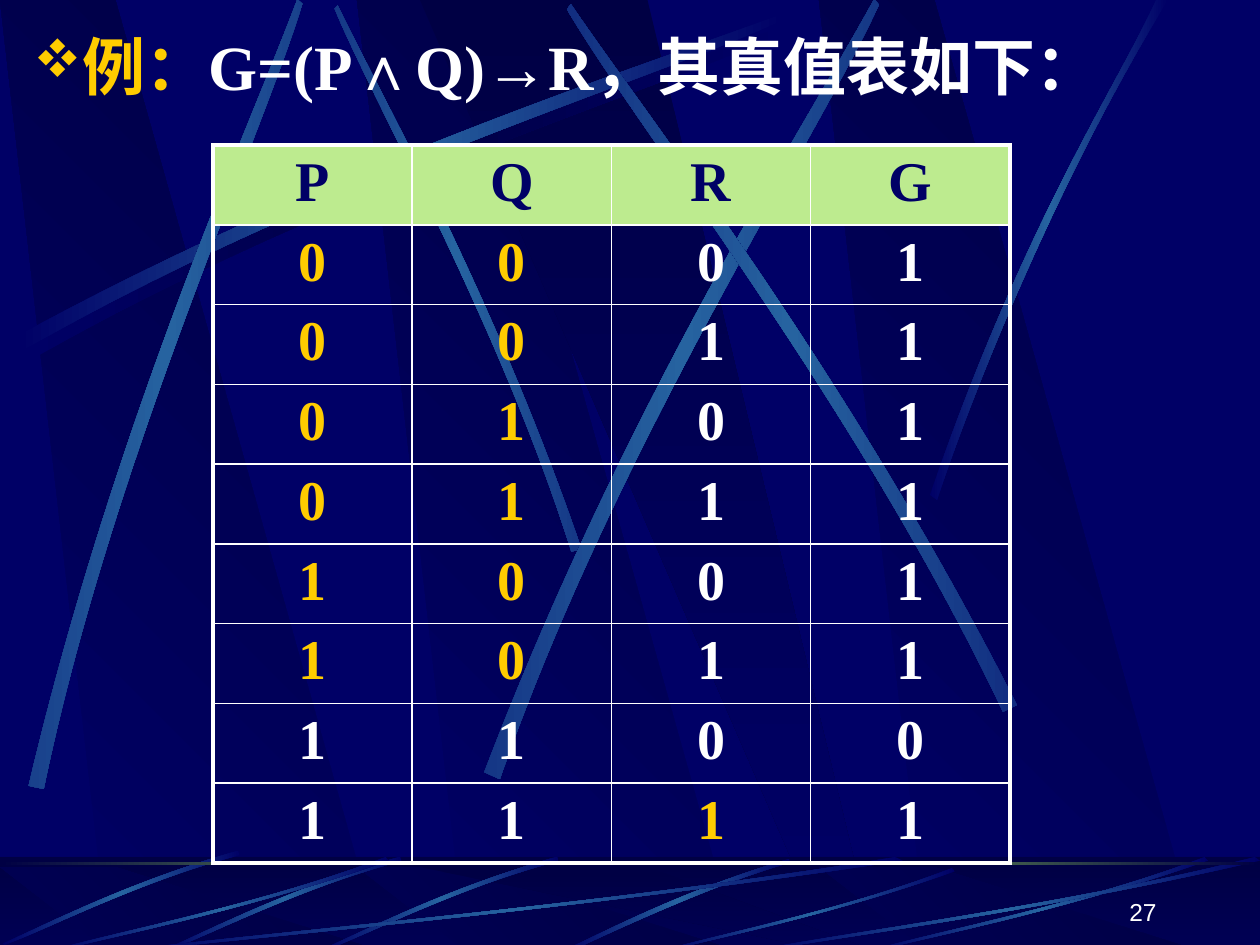
from itertools import product

from pptx import Presentation
from pptx import util as u
from pptx.dml.color import RGBColor
from pptx.enum import shapes, text
from pptx.oxml import parse_xml
from pptx.oxml.ns import nsdecls, qn

SCALE = 914400 / 126  # EMU per px
NAVY, DARK, BLUE = "000066", "000044", "2663A0"
WHITE, GOLD, GREEN, LIME = "FFFFFF", "FFCC00", "BDEB8F", "9CE157"
LATIN, CJK = "Times New Roman", "Noto Sans CJK SC"

# Outlines as fractions of their box
BAND = [(.285, 1), (1, 1), (.303, 0), (0, 0)]
WIDE_BAND = [(0, 0), (.9, 1), (1, 1), (.5, 0)]
# Streaks: two Bezier curves of four points each, there and back
RAY = [(0, .96), (.43, .43), (.83, .15), (1, 0),
       (1, .02), (.84, .19), (.39, .5), (.01, 1)]
STEEP_RAY = [(0, .99), (.4, .44), (.79, .17), (.95, 0),
             (1, 0), (.52, .37), (.16, .81), (.03, 1)]
FLOOR_RAY = [(1, .04), (.57, .57), (.17, .85), (.01, 1),
             (0, .99), (.17, .81), (.62, .51), (.99, 0)]
FLOOR_ARC = [(.99, 0), (.49, .37), (.16, .82), (0, .99),
             (.03, 1), (.23, .77), (.68, .25), (1, .04)]
FADE = (NAVY, BLUE, NAVY)


def px(n):
    return u.Emu(round(n * SCALE))


def rgb(value):
    return RGBColor.from_string(value)


def set_gradient(sp, colours, angle):
    step = 100000 // (len(colours) - 1)
    stops = "".join(f'<a:gs pos="{i * step}"><a:srgbClr val="{c}"/></a:gs>'
                    for i, c in enumerate(colours))
    sp.fill.background()
    spPr = sp._element.spPr
    spPr.replace(spPr.find(qn("a:noFill")), parse_xml(
        f'<a:gradFill {nsdecls("a")} rotWithShape="0"><a:gsLst>{stops}</a:gsLst>'
        f'<a:lin ang="{angle * 60000}" scaled="0"/></a:gradFill>'))


def plain(sp):
    sp.shadow.inherit = False
    sp.line.fill.background()
    return sp


def add_outline(s, box, points, colours, angle):
    x, y, w, h = box
    pts = [(px(x + fx * w), px(y + fy * h)) for fx, fy in points]
    builder = s.shapes.build_freeform(*pts[0], scale=1.0)
    builder.add_line_segments(pts[1:], close=True)
    sp = plain(builder.convert_to_shape())
    set_gradient(sp, colours, angle)
    return sp


def add_streak(s, box, profile, rotation=0, flip=False, colours=FADE):
    points = [(1 - fx, fy) for fx, fy in profile] if flip else profile
    sp = add_outline(s, box, points, colours, 0)
    sp.rotation = rotation
    # Turn the long sides into curves; the segment between them stays straight
    lines = sp._element.findall(".//" + qn("a:lnTo"))
    for side in (lines[:3], lines[4:7]):
        curve = parse_xml(f'<a:cubicBezTo {nsdecls("a")}/>')
        side[0].addprevious(curve)
        for line in side:
            curve.append(line[0])
            line.getparent().remove(line)


def add_rect(s, box):
    return plain(s.shapes.add_shape(shapes.MSO_SHAPE.RECTANGLE, *map(px, box)))


def add_bands(s, y, h):
    for x in (357, 0, 819):
        add_outline(s, (x, y, 381, h), BAND, (NAVY, DARK), 315)
    add_outline(s, (420, y, 455, h), WIDE_BAND, (DARK, NAVY), 90)


def add_backdrop(s):
    s.background.fill.solid()
    s.background.fill.fore_color.rgb = rgb(NAVY)

    # Sky
    add_bands(s, 0, 947)
    add_streak(s, (25, 23, 766, 336), RAY, colours=(NAVY, DARK, NAVY))
    add_streak(s, (178, 170, 557, 221), RAY, 45, True)
    add_streak(s, (18, 13, 766, 336), RAY)
    add_streak(s, (-215, 229, 766, 336), RAY, 311.7)
    add_streak(s, (291, 202, 786, 379), RAY, 321.6)
    add_streak(s, (407, 192, 766, 336), RAY, 34.7, True)
    add_streak(s, (930, 0, 238, 500), STEEP_RAY)

    # Floor
    floor = (0, 857, 1260, 88)
    set_gradient(add_rect(s, floor), (DARK, NAVY), 90)
    add_bands(s, 867, 84)
    veil = add_rect(s, floor)
    veil.fill.solid()
    veil.fill.fore_color.rgb = rgb(DARK)
    veil._element.spPr.find(".//" + qn("a:srgbClr")).append(
        parse_xml(f'<a:alpha {nsdecls("a")} val="50000"/>'))
    add_streak(s, (564, 859, 227, 92), FLOOR_ARC)
    for x, y in ((325, 852), (168, 852), (6, 846)):
        add_streak(s, (x, y, 232, 105), RAY, 315, True)
    for x, y, w, h in ((126, 857, 777, 94), (53, 857, 336, 94), (664, 868, 291, 83),
                       (872, 857, 336, 94), (756, 857, 504, 94)):
        add_streak(s, (x, y, w, h), FLOOR_RAY)

    # Horizon
    set_gradient(add_rect(s, (0, 862, 1260, 3)), (DARK, LIME, DARK), 0)


def format_run(r, size, colour, font=LATIN, bold=True):
    r.font.size = u.Pt(size)
    r.font.bold = bold
    r.font.name = font
    r.font.color.rgb = rgb(colour)


def add_heading(s):
    sp = s.shapes.title
    s.shapes._spTree.append(sp._element)  # in front of the backdrop
    sp.left, sp.top, sp.width, sp.height = map(px, (21, 21, 1218, 868))
    tf = sp.text_frame
    tf.word_wrap = True
    tf.auto_size = text.MSO_AUTO_SIZE.NONE
    tf.vertical_anchor = text.MSO_ANCHOR.TOP
    p = tf.paragraphs[0]
    p.alignment = text.PP_ALIGN.LEFT
    pPr = p._p.get_or_add_pPr()
    pPr.set("marL", str(px(48)))
    pPr.set("indent", str(-px(48)))
    for bullet in (f'<a:buClr {nsdecls("a")}><a:srgbClr val="{GOLD}"/></a:buClr>',
                   f'<a:buSzPct {nsdecls("a")} val="85000"/>',
                   f'<a:buFont {nsdecls("a")} typeface="Wingdings" charset="2"/>',
                   f'<a:buChar {nsdecls("a")} char="v"/>'):
        pPr.append(parse_xml(bullet))
    for words, font, colour in (("例：", CJK, GOLD), ("G=(P∧Q)→R", LATIN, WHITE),
                                ("，其真值表如下：", CJK, WHITE)):
        r = p.add_run()
        r.text = words
        format_run(r, 36, colour, font)
        r.font._element.find(qn("a:latin")).addnext(
            parse_xml(f'<a:ea {nsdecls("a")} typeface="{CJK}"/>'))


def set_borders(cell, outer):
    tcPr = cell._tc.get_or_add_tcPr()
    for i, side in enumerate("LRTB"):
        width = u.Pt(2.25 if side in outer else 1)
        tcPr.insert(i, parse_xml(
            f'<a:ln{side} {nsdecls("a")} w="{width}"><a:solidFill>'
            f'<a:srgbClr val="{WHITE}"/></a:solidFill></a:ln{side}>'))


def cell_colour(row, col):
    """Gold marks the inputs that make G true."""
    p, q, r, _ = row
    decisive = col < 2 if not (p and q) else col == 2 and r
    return GOLD if decisive else WHITE


def add_truth_table(s):
    rows = [(p, q, r, int(not (p and q) or r)) for p, q, r in product((0, 1), repeat=3)]
    grid = ["PQRG", *rows]
    table = s.shapes.add_table(9, 4, *map(px, (213, 145, 797, 718))).table
    table.first_row = table.horz_banding = False
    for i, row in enumerate(grid):
        for j, value in enumerate(row):
            cell = table.cell(i, j)
            if i == 0:
                cell.fill.solid()
                cell.fill.fore_color.rgb = rgb(GREEN)
            else:
                cell.fill.background()
            outer = {0: "T", 8: "B"}.get(i, "") + {0: "L", 3: "R"}.get(j, "")
            set_borders(cell, outer)
            p = cell.text_frame.paragraphs[0]
            p.text = str(value)
            p.alignment = text.PP_ALIGN.CENTER
            format_run(p.runs[0], 32, cell_colour(row, j) if i else NAVY)


def add_page_number(s):
    tf = s.shapes.add_textbox(*map(px, (907, 870, 262, 63))).text_frame
    tf.word_wrap = True
    tf.vertical_anchor = text.MSO_ANCHOR.BOTTOM
    p = tf.paragraphs[0]
    p.text = "27"
    p.alignment = text.PP_ALIGN.RIGHT
    format_run(p.runs[0], 14, WHITE, "Arial", False)


def main():
    prs = Presentation()
    prs.slide_width, prs.slide_height = px(1260), px(945)
    s = prs.slides.add_slide(prs.slide_layouts[5])
    add_backdrop(s)
    add_heading(s)
    add_truth_table(s)
    add_page_number(s)
    prs.save("out.pptx")


if __name__ == "__main__":
    main()
